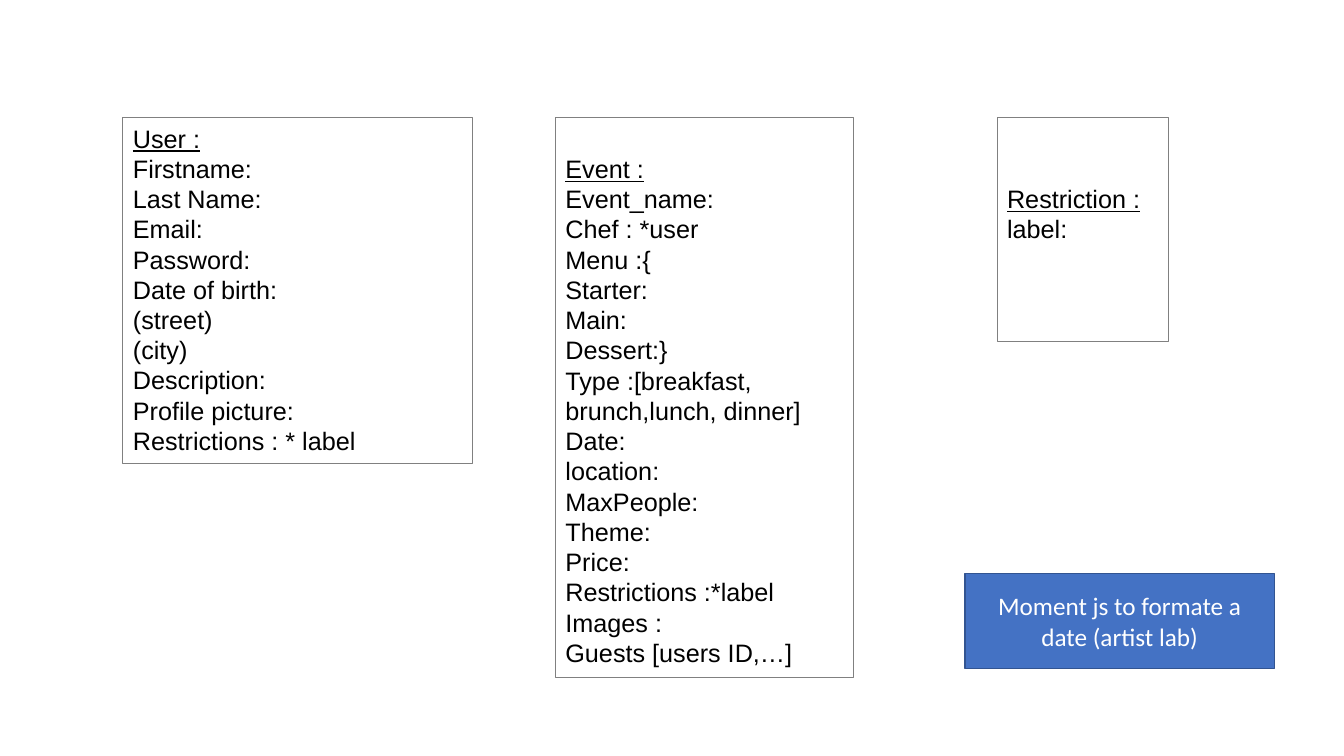
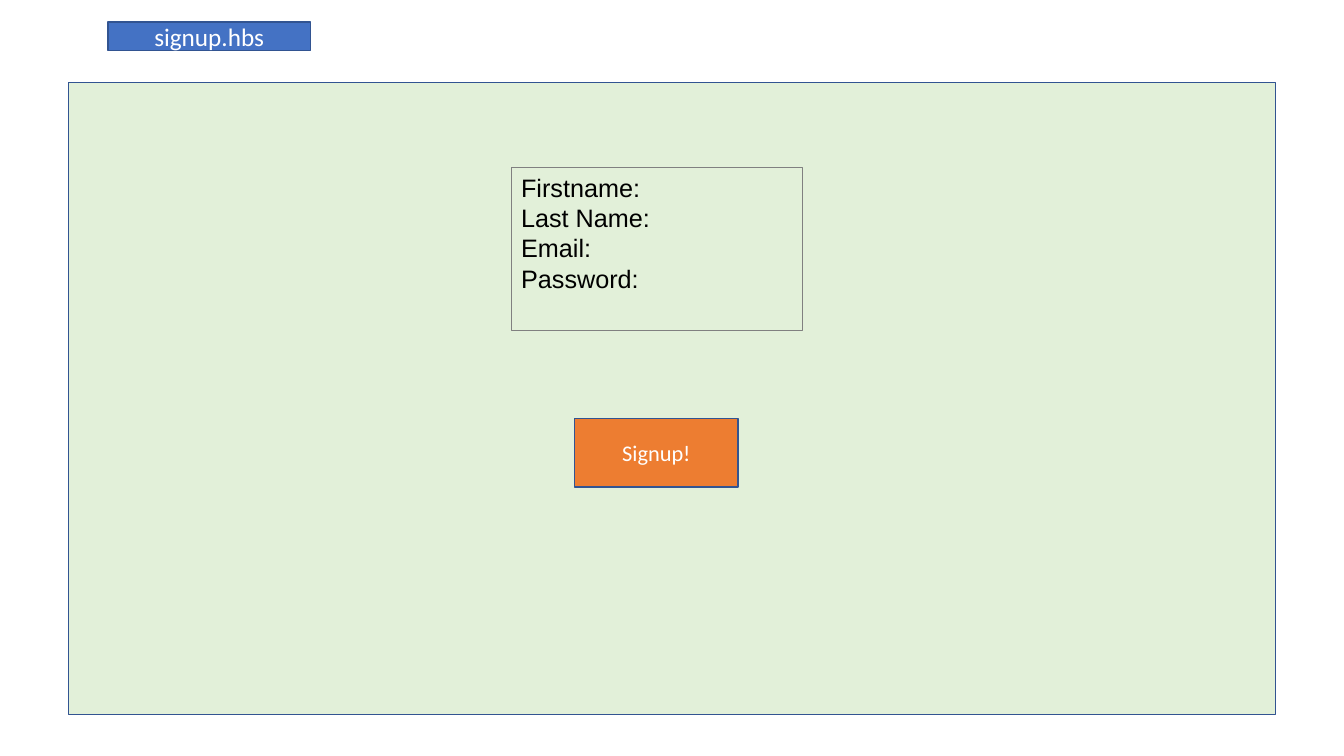
import pptx
import pptx.util
import pptx.dml.color
import pptx.enum.shapes
import pptx.enum.text

Inches = pptx.util.Inches
Pt = pptx.util.Pt

BLUE, NAVY, ORANGE, GREEN = "4472C4", "325491", "ED7D31", "E2F0D9"
GREY, BLACK, WHITE = "808080", "000000", "FFFFFF"
LINE_HEIGHT = 0.3
INSET = 0.05

USER_FIELDS = ["Firstname:", "Last Name:", "Email:", "Password:", "Date of birth:",
               "(street)", "(city)", "Description:", "Profile picture:",
               "Restrictions : * label"]
EVENT_FIELDS = ["Event_name:", "Chef : *user", "Menu :{", "Starter:", "Main:",
                "Dessert:}", "Type :[breakfast, brunch,lunch, dinner]", "Date:",
                "location:", "MaxPeople:", "Theme:", "Price:",
                "Restrictions :*label", "Images :", "Guests [users ID,…]"]
SIGNUP_FIELDS = USER_FIELDS[:4]


def color(hex_string):
    """Return the colour for a hex string."""
    return pptx.dml.color.RGBColor.from_string(hex_string)


def set_font(paragraph, name, size, hex_string):
    """Set the font of a whole paragraph."""
    paragraph.font.name = name
    paragraph.font.size = Pt(size)
    paragraph.font.color.rgb = color(hex_string)


def add_box(slide, box, fill, line, width):
    """Add a flat rectangle at box (left, top, width, height); fill may be None."""
    shape = slide.shapes.add_shape(pptx.enum.shapes.MSO_SHAPE.RECTANGLE,
                                   *(Inches(length) for length in box))
    shape.shadow.inherit = False
    if fill:
        shape.fill.solid()
        shape.fill.fore_color.rgb = color(fill)
    else:
        shape.fill.background()
    shape.line.color.rgb = color(line)
    shape.line.width = Pt(width)
    return shape


def add_label(slide, box, text, fill=BLUE, size=18):
    """Add a filled box with centred white text."""
    frame = add_box(slide, box, fill, NAVY, 1).text_frame
    frame.word_wrap = True
    frame.vertical_anchor = pptx.enum.text.MSO_ANCHOR.MIDDLE
    paragraph = frame.paragraphs[0]
    paragraph.text = text
    paragraph.alignment = pptx.enum.text.PP_ALIGN.CENTER
    set_font(paragraph, "Calibri", size, WHITE)


def add_field_list(slide, box, fields, heading=None, lines_above=0):
    """Add an outlined list of fields, under an underlined heading if given."""
    frame = add_box(slide, box, None, GREY, 0.75).text_frame
    frame.word_wrap = True
    frame.vertical_anchor = pptx.enum.text.MSO_ANCHOR.TOP
    frame.margin_top = Inches(INSET + lines_above * LINE_HEIGHT)
    lines = [heading, *fields] if heading else fields
    frame.text = "\n".join(lines)
    for paragraph in frame.paragraphs:
        paragraph.alignment = pptx.enum.text.PP_ALIGN.LEFT
        set_font(paragraph, "Arial", 18, BLACK)
    if heading:
        frame.paragraphs[0].runs[0].font.underline = True


def build_models_slide(slide):
    """Show the data models side by side, with a note on dates."""
    top = 1.17
    add_field_list(slide, (9.89, top, 1.7, 2.22), ["label:"], "Restriction :", 2)
    add_field_list(slide, (1.22, top, 3.47, 3.43), USER_FIELDS, "User :")
    add_field_list(slide, (5.51, top, 2.96, 5.55), EVENT_FIELDS, "Event :", 1)
    add_label(slide, (9.57, 5.69, 3.07, 0.94), "Moment js to formate a date (artist lab)")


def build_signup_slide(slide, box):
    """Sketch the signup page in box, with its file name above it."""
    left, top, width, height = box
    add_box(slide, box, GREEN, NAVY, 1)
    add_label(slide, (left + 0.39, top - 0.6, 2.01, 0.28), "signup.hbs")
    add_field_list(slide, (left + 4.39, top + 0.84, 2.89, 1.62), SIGNUP_FIELDS)
    add_label(slide, (left + 5.02, top + 3.33, 1.62, 0.68), "Signup!", ORANGE, 16)


def main():
    """Build and save the presentation."""
    presentation = pptx.Presentation()
    presentation.slide_width = Inches(13.33)
    presentation.slide_height = Inches(7.5)
    blank = presentation.slide_layouts[6]
    build_models_slide(presentation.slides.add_slide(blank))
    build_signup_slide(presentation.slides.add_slide(blank), (0.68, 0.82, 11.97, 6.27))
    presentation.save("out.pptx")


main()
